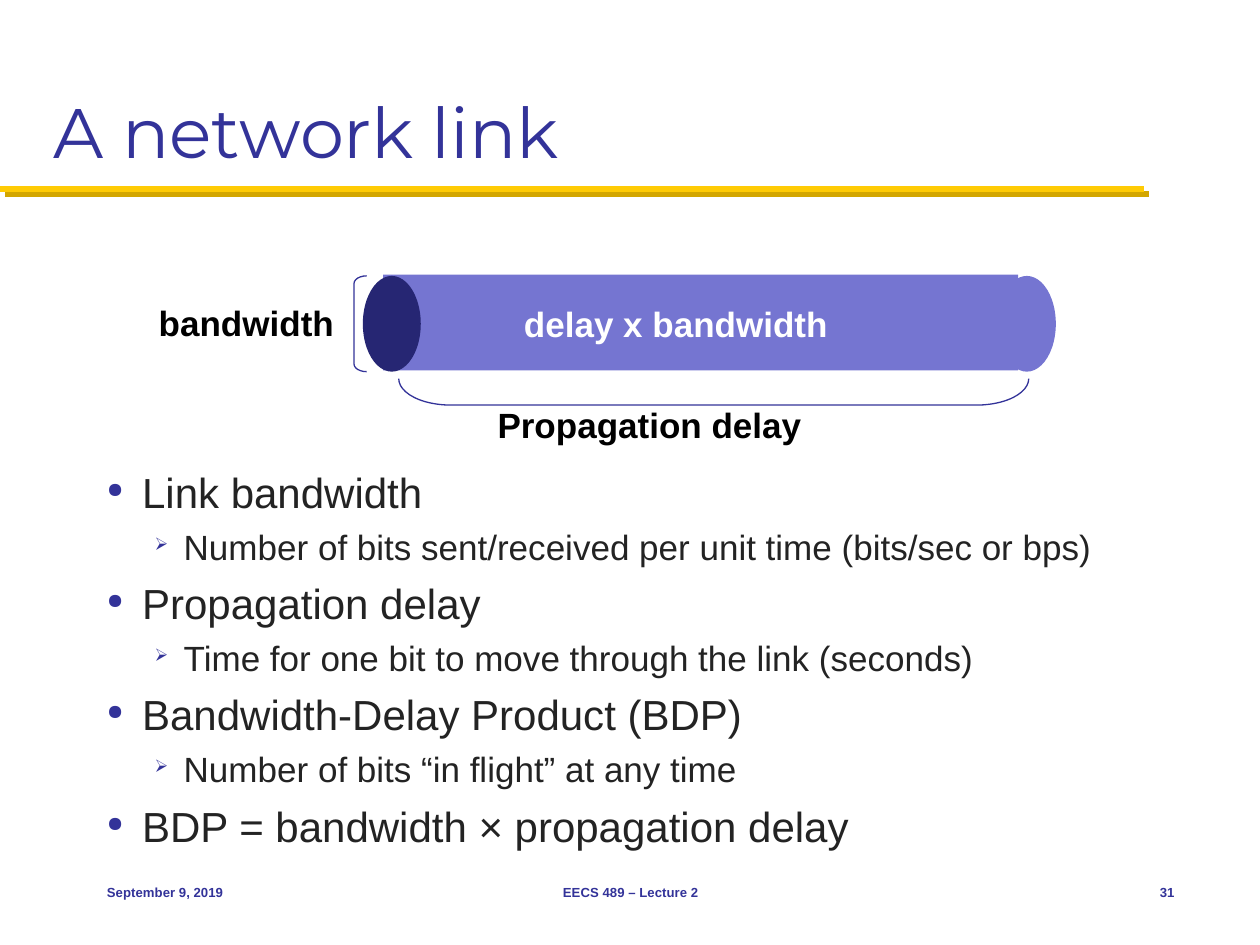
from lxml.etree import SubElement
from pptx import Presentation
from pptx.dml.color import RGBColor
from pptx.enum.shapes import MSO_CONNECTOR, MSO_SHAPE
from pptx.enum.text import MSO_ANCHOR, PP_ALIGN
from pptx.oxml.ns import qn
from pptx.util import Inches, Pt

COLORS = {"blue": "333399", "gold": "FFCB05", "shade": "D3A600", "pipe": "7575D1",
          "dark": "262673", "ink": "232323", "black": "000000", "white": "FFFFFF"}
FORMATS = {
    "title": {"name": "Montserrat", "size": Pt(40)},
    "label": {"name": "Arial", "size": Pt(20), "bold": True},
    "foot": {"name": "Arial", "size": Pt(7.5), "bold": True},
    0: {"name": "Arial", "size": Pt(24)},
    1: {"name": "Arial", "size": Pt(20)},
}
LEVELS = [("●", 0.28, 0.28, 5.8), ("➢", 0.61, 0.23, 5)]
POINTS = [
    (0, "Link bandwidth"),
    (1, "Number of bits sent/received per unit time (bits/sec or bps)"),
    (0, "Propagation delay"),
    (1, "Time for one bit to move through the link (seconds)"),
    (0, "Bandwidth-Delay Product (BDP)"),
    (1, "Number of bits “in flight” at any time"),
    (0, "BDP = bandwidth × propagation delay"),
]


class Deck:
    """Holds the style and the current slide."""

    def __init__(self):
        self.show = Presentation()
        self.show.slide_width, self.show.slide_height = Inches(10), Inches(7.5)
        self.slide = self.show.slides.add_slide(self.show.slide_layouts[6])

    def color(self, name):
        return RGBColor.from_string(COLORS[name])

    def rule(self, left, top, width, color):
        line = self.slide.shapes.add_connector(
            MSO_CONNECTOR.STRAIGHT, Inches(left), Inches(top), Inches(left + width), Inches(top))
        line.line.color.rgb = self.color(color)
        line.line.width = Pt(3.5)
        SubElement(line._element.spPr, qn("a:effectLst"))

    def shape(self, kind, box, fill):
        shape = self.slide.shapes.add_shape(kind, *map(Inches, box))
        shape.shadow.inherit = False
        shape.fill.solid()
        shape.fill.fore_color.rgb = self.color(fill)
        shape.line.fill.background()

    def bracket(self, box, bend, turn=0):
        shape = self.slide.shapes.add_shape(MSO_SHAPE.LEFT_BRACKET, *map(Inches, box))
        shape.shadow.inherit = False
        shape.fill.background()
        shape.line.color.rgb = self.color("blue")
        shape.line.width = Pt(0.75)
        shape.adjustments[0] = bend
        shape.rotation = turn

    def frame(self, box, wrap, anchor=MSO_ANCHOR.TOP):
        frame = self.slide.shapes.add_textbox(*map(Inches, box)).text_frame
        frame.word_wrap = wrap
        frame.vertical_anchor = anchor
        return frame

    def run(self, para, text, style, color):
        run = para.add_run()
        run.text = text
        for key, value in FORMATS[style].items():
            setattr(run.font, key, value)
        run.font.color.rgb = self.color(color)

    def text(self, box, text, style, color, align=PP_ALIGN.LEFT,
             anchor=MSO_ANCHOR.TOP, wrap=False):
        para = self.frame(box, wrap, anchor).paragraphs[0]
        para.alignment = align
        self.run(para, text, style, color)

    def bullets(self, box, points):
        frame = self.frame(box, True)
        for index, (level, text) in enumerate(points):
            para = frame.add_paragraph() if index else frame.paragraphs[0]
            mark, left, hang, gap = LEVELS[level]
            para.level = level
            props = para._p.get_or_add_pPr()
            props.set("marL", str(Inches(left)))
            props.set("indent", str(-Inches(hang)))
            tint = SubElement(props, qn("a:buClr"))
            SubElement(tint, qn("a:srgbClr"), val=COLORS["blue"])
            SubElement(props, qn("a:buSzPct"), val="50000")
            SubElement(props, qn("a:buChar"), char=mark)
            if index:
                para.space_before = Pt(gap)
            self.run(para, text, level, "ink")


def main():
    deck = Deck()
    deck.rule(0.04, 1.54, 9.08, "shade")
    deck.rule(0, 1.5, 9.08, "gold")
    deck.text((0.33, 0.17, 9.33, 1.25), "A network link", "title", "blue",
              anchor=MSO_ANCHOR.BOTTOM, wrap=True)

    deck.shape(MSO_SHAPE.OVAL, (7.92, 2.19, 0.46, 0.76), "pipe")
    deck.shape(MSO_SHAPE.RECTANGLE, (3.04, 2.18, 5.04, 0.76), "pipe")
    deck.shape(MSO_SHAPE.OVAL, (2.88, 2.19, 0.46, 0.76), "dark")
    deck.bracket((2.81, 2.19, 0.1, 0.76), 0.61)
    deck.bracket((5.56, 0.61, 0.21, 5), 1.98, 270)
    for left, top, width, text, color in [
            (1.15, 2.34, 1.6, "bandwidth", "black"),
            (3.83, 3.15, 2.63, "Propagation delay", "black"),
            (4.04, 2.35, 2.63, "delay x bandwidth", "white")]:
        deck.text((left, top, width, 0.44), text, "label", color, PP_ALIGN.RIGHT)

    deck.bullets((0.75, 3.65, 8.67, 2.93), POINTS)
    for left, width, text, align in [
            (0.75, 2.08, "September 9, 2019", PP_ALIGN.LEFT),
            (3.42, 3.17, "EECS 489 – Lecture 2", PP_ALIGN.CENTER),
            (8.75, 0.67, "31", PP_ALIGN.RIGHT)]:
        deck.text((left, 6.83, width, 0.5), text, "foot", "blue", align,
                  MSO_ANCHOR.MIDDLE, True)
    deck.show.save("out.pptx")


if __name__ == "__main__":
    main()
